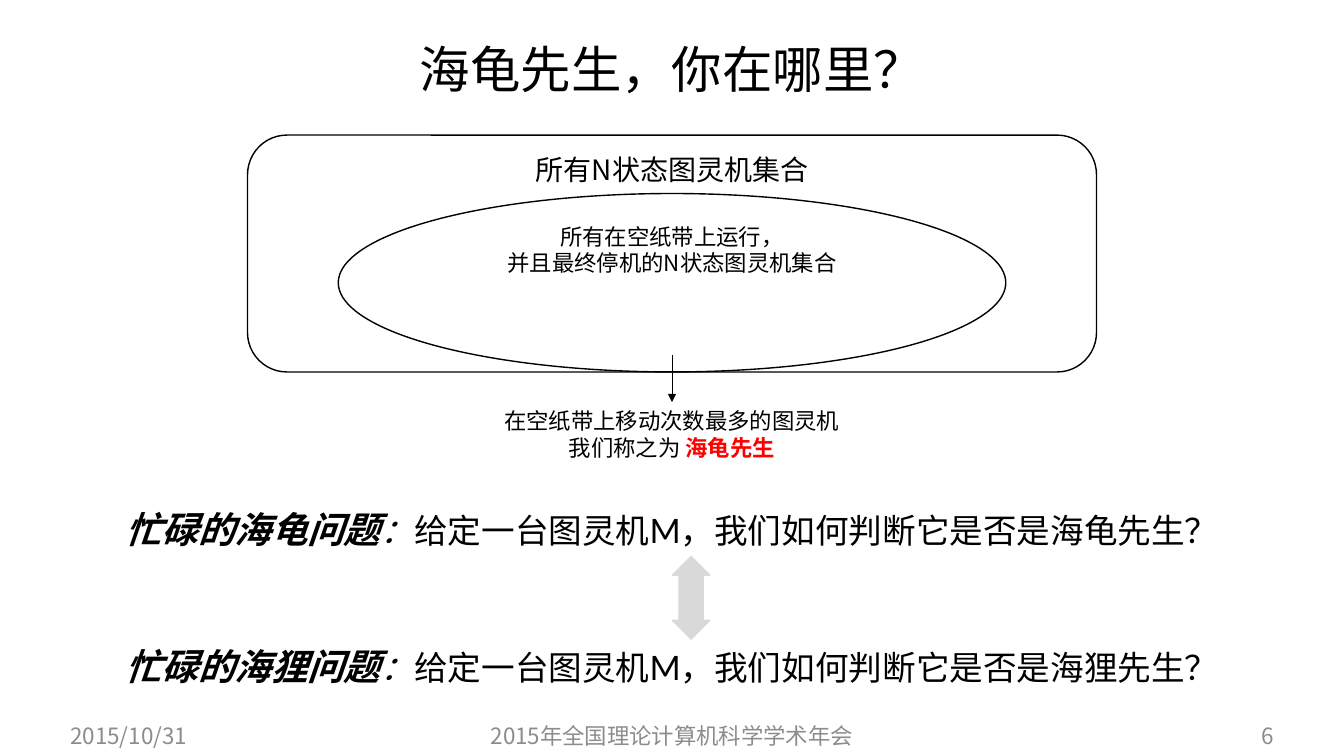
from lxml import etree
from pptx import Presentation
from pptx import util as u
from pptx.dml.color import RGBColor
from pptx.enum import shapes, text
from pptx.oxml import ns

WIDTH, HEIGHT = 13.33, 7.5
MARGIN = 0.6
CJK = "Noto Sans CJK SC"
BLACK, RED, GREY, LIGHT = "000000", "FF0000", "8C8C8C", "D9D9D9"
LEFT, CENTER, RIGHT = text.PP_ALIGN.LEFT, text.PP_ALIGN.CENTER, text.PP_ALIGN.RIGHT
TOP, MIDDLE = text.MSO_ANCHOR.TOP, text.MSO_ANCHOR.MIDDLE


def color(value):
    return RGBColor.from_string(value)


def write(box, lines, style, align=CENTER, anchor=TOP):
    """Fill a box; each line is a list of (wording, changes to style)."""
    frame = box.text_frame
    frame.word_wrap = True
    frame.vertical_anchor = anchor
    for number, spans in enumerate(lines):
        para = frame.add_paragraph() if number else frame.paragraphs[0]
        para.alignment = align
        for wording, changes in spans:
            span = para.add_run()
            span.text = wording
            look = {"name": CJK, "color": BLACK, **style, **changes}
            span.font.color.rgb = color(look.pop("color"))
            for key, value in look.items():
                setattr(span.font, key, value)
            east_asian = etree.SubElement(span.font._element, ns.qn("a:ea"))
            east_asian.set("typeface", CJK)


deck = Presentation()
deck.slide_width, deck.slide_height = u.Inches(WIDTH), u.Inches(HEIGHT)
page = deck.slides.add_slide(deck.slide_layouts[5])

title = page.shapes.title
title.left, title.top = u.Inches(MARGIN), u.Inches(0.1)
title.width, title.height = u.Inches(WIDTH - 2 * MARGIN), u.Inches(1.24)
write(title, [[("海龟先生，你在哪里？", {})]], {"size": u.Pt(36)}, anchor=MIDDLE)
title.text_frame.paragraphs[0].line_spacing = 0.9

# Nested sets of machines, centred on the page
for preset, top, width, height in [
    (shapes.MSO_SHAPE.ROUNDED_RECTANGLE, 1.34, 8.42, 2.35),
    (shapes.MSO_SHAPE.OVAL, 1.92, 6.62, 1.77),
]:
    outline = page.shapes.add_shape(
        preset, u.Inches((WIDTH - width) / 2), u.Inches(top), u.Inches(width), u.Inches(height))
    outline.shadow.inherit = False
    outline.fill.background()
    outline.line.color.rgb = color(BLACK)
    outline.line.width = u.Pt(1)

# Labels of the sets; the last one names the machine the arrow points to
for top, width, height, style, lines in [
    (1.46, 3.12, 0.77, {"size": u.Pt(20)}, [[("所有N状态图灵机集合", {})]]),
    (2.16, 4.62, 0.76, {"size": u.Pt(16)},
     [[("所有在空纸带上运行，", {})], [("并且最终停机的N状态图灵机集合", {})]]),
    (3.99, 4.73, 0.64, {"size": u.Pt(16), "name": "Lato"},
     [[("在空纸带上移动次数最多的图灵机", {})],
      [("我们称之为 ", {}), ("海龟先生", {"color": RED, "bold": True})]]),
]:
    label = page.shapes.add_textbox(
        u.Inches((WIDTH - width) / 2), u.Inches(top), u.Inches(width), u.Inches(height))
    write(label, lines, style)

pointer = page.shapes.add_connector(
    shapes.MSO_CONNECTOR.STRAIGHT,
    u.Inches(WIDTH / 2), u.Inches(3.52), u.Inches(WIDTH / 2), u.Inches(3.99))
pointer.end_connect(label, 0)
pointer.line.color.rgb = color(BLACK)
pointer.line.width = u.Pt(0.5)
etree.SubElement(pointer.line._get_or_add_ln(), ns.qn("a:tailEnd")).set("type", "triangle")
etree.SubElement(pointer._element.spPr, ns.qn("a:effectLst"))

# The two equivalent problems
for animal, top in [("海龟", 4.98), ("海狸", 6.34)]:
    problem = page.shapes.add_textbox(
        u.Inches(0.88), u.Inches(top), u.Inches(WIDTH - 2 * 0.88), u.Inches(0.54))
    write(problem, [[
        (f"忙碌的{animal}问题", {"size": u.Pt(26), "bold": True, "italic": True}),
        ("：", {"italic": True}),
        (f"给定一台图灵机M，我们如何判断它是否是{animal}先生？", {}),
    ]], {"size": u.Pt(24), "name": "Lato"})

equivalence = page.shapes.add_shape(
    shapes.MSO_SHAPE.UP_DOWN_ARROW, u.Inches(6.67), u.Inches(5.52), u.Inches(0.37), u.Inches(0.82))
equivalence.adjustments[0], equivalence.adjustments[1] = 0.38, 0.65
equivalence.shadow.inherit = False
equivalence.fill.solid()
equivalence.fill.fore_color.rgb = color(LIGHT)
equivalence.line.color.rgb = color(LIGHT)
equivalence.line.width = u.Pt(1)

# Footer row
for wording, left, width, align in [
    ("2015/10/31", MARGIN, 2.46, LEFT),
    ("2015年全国理论计算机科学学术年会", (WIDTH - 4.5) / 2, 4.5, CENTER),
    ("6", WIDTH - MARGIN - 3, 3, RIGHT),
]:
    footer = page.shapes.add_textbox(
        u.Inches(left), u.Inches(HEIGHT - 0.4), u.Inches(width), u.Inches(0.4))
    write(footer, [[(wording, {})]], {"size": u.Pt(16), "color": GREY}, align, MIDDLE)

deck.save("out.pptx")
